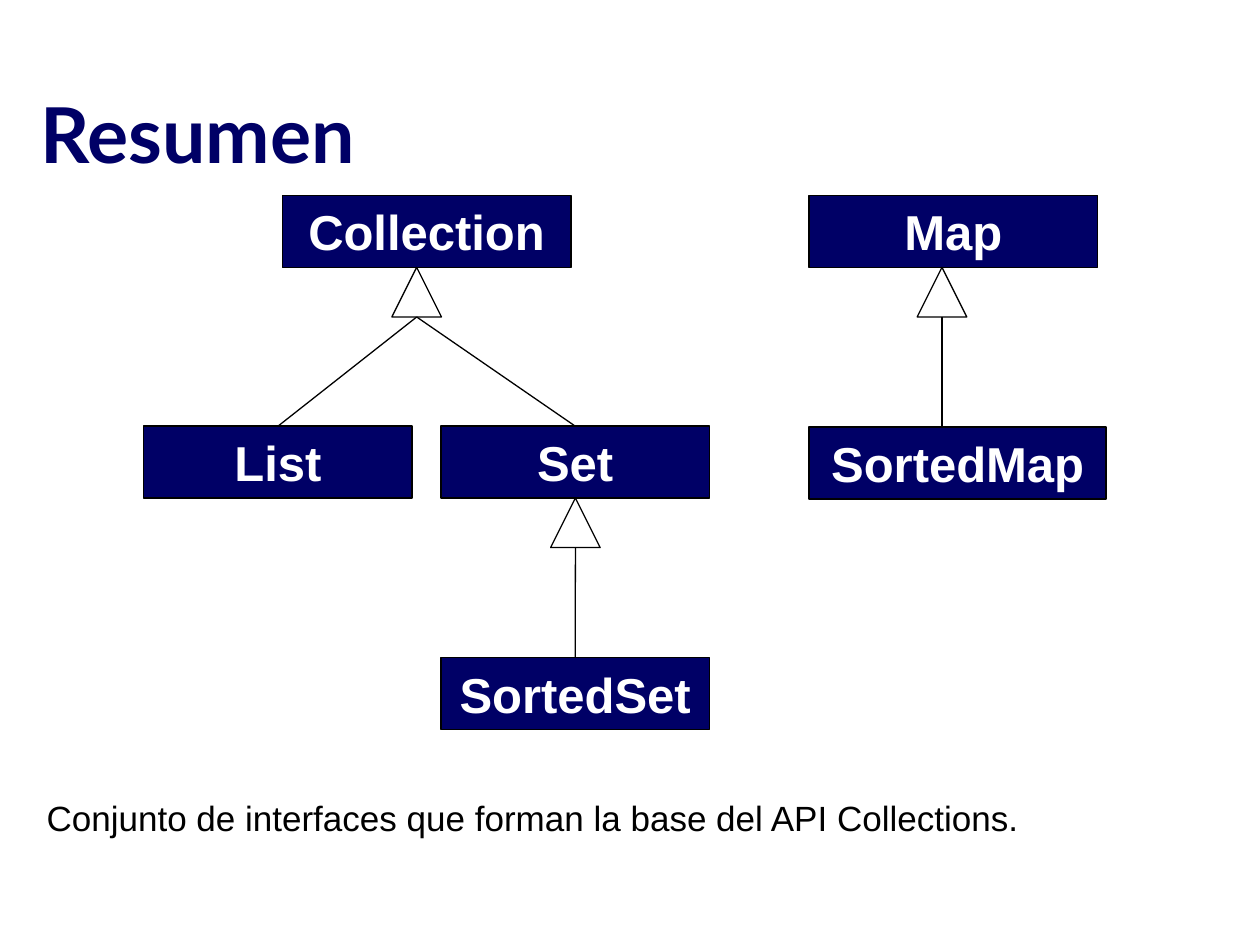
from dataclasses import dataclass

import pptx
import pptx.dml.color
import pptx.enum.shapes
import pptx.enum.text
import pptx.oxml.ns
import pptx.util
from lxml import etree

Cm, Pt = pptx.util.Cm, pptx.util.Pt
RGB = pptx.dml.color.RGBColor
ALIGN = pptx.enum.text.PP_ALIGN
ANCHOR = pptx.enum.text.MSO_ANCHOR
SHAPE = pptx.enum.shapes.MSO_SHAPE


@dataclass(frozen=True)
class Theme:
    navy: RGB = RGB(0x00, 0x00, 0x66)
    black: RGB = RGB(0x00, 0x00, 0x00)
    white: RGB = RGB(0xFF, 0xFF, 0xFF)
    title_font: str = "Lato"
    body_font: str = "Arial"
    title_size: int = 44
    box_size: int = 28
    caption_size: int = 20
    line_width: float = 0.75


THEME = Theme()
BOX_HEIGHT = 1.45
ARROW_SIZE = 1.0

# Interface name: left, top, width in cm
INTERFACES = {
    "Collection": (5.69, 3.94, 5.82),
    "Map": (16.31, 3.94, 5.82),
    "List": (2.9, 8.59, 5.41),
    "Set": (8.89, 8.59, 5.41),
    "SortedSet": (8.89, 13.26, 5.41),
    "SortedMap": (16.31, 8.61, 5.99),
}

# Parent, centre of its arrowhead in cm, children
INHERITANCE = [
    ("Collection", 8.4, ["List", "Set"]),
    ("Map", 18.99, ["SortedMap"]),
    ("Set", 11.6, ["SortedSet"]),
]


def place(sp, left, top, width, height):
    sp.left, sp.top, sp.width, sp.height = map(Cm, (left, top, width, height))


def set_text(sp, text, font, size, color, align, anchor, bold=False, inset=0.25):
    tf = sp.text_frame
    tf.word_wrap = True
    tf.auto_size = pptx.enum.text.MSO_AUTO_SIZE.NONE
    tf.vertical_anchor = anchor
    tf.margin_left = tf.margin_right = Cm(inset)
    tf.margin_top = tf.margin_bottom = Cm(0.13)
    p = tf.paragraphs[0]
    p.alignment = align
    r = p.add_run()
    r.text = text
    r.font.name, r.font.size, r.font.bold = font, Pt(size), bold
    r.font.color.rgb = color


def set_line(sp):
    sp.line.color.rgb = THEME.black
    sp.line.width = Pt(THEME.line_width)


def add_interface(s, name, left, top, width):
    sp = s.shapes.add_shape(SHAPE.RECTANGLE, Cm(left), Cm(top), Cm(width), Cm(BOX_HEIGHT))
    sp.shadow.inherit = False
    sp.fill.solid()
    sp.fill.fore_color.rgb = THEME.navy
    set_line(sp)
    set_text(sp, name, THEME.body_font, THEME.box_size, THEME.white,
             ALIGN.CENTER, ANCHOR.TOP, bold=True)
    return sp


def add_arrowhead(s, parent, center):
    """Hollow triangle whose tip touches the bottom of the parent box."""
    sp = s.shapes.add_shape(SHAPE.ISOSCELES_TRIANGLE, Cm(center - ARROW_SIZE / 2),
                            parent.top + parent.height, Cm(ARROW_SIZE), Cm(ARROW_SIZE))
    sp.shadow.inherit = False
    sp.fill.background()
    set_line(sp)
    return sp


def add_link(s, arrow, child, straight_down):
    x, y = arrow.left + arrow.width // 2, arrow.top + arrow.height
    cx = s.shapes.add_connector(pptx.enum.shapes.MSO_CONNECTOR.STRAIGHT, x, y, x, child.top)
    if not straight_down:
        cx.end_connect(child, 0)
    set_line(cx)
    etree.SubElement(cx._element.spPr, pptx.oxml.ns.qn("a:effectLst"))


def main():
    prs = pptx.Presentation()
    prs.slide_width, prs.slide_height = Cm(25.4), Cm(19.05)
    s = prs.slides.add_slide(prs.slide_layouts[5])

    # Title
    title = s.shapes.title
    place(title, 0.69, 1.32, 22.83, 2.41)
    set_text(title, "Resumen", THEME.title_font, THEME.title_size, THEME.navy,
             ALIGN.LEFT, ANCHOR.BOTTOM, bold=True, inset=0.13)

    # Interface boxes
    boxes = {name: add_interface(s, name, *at) for name, at in INTERFACES.items()}

    # Inheritance arrows; the Map arrow is off centre and drops vertically
    for parent, center, children in INHERITANCE:
        arrow = add_arrowhead(s, boxes[parent], center)
        for child in children:
            add_link(s, arrow, boxes[child], straight_down=parent == "Map")

    # Caption
    caption = s.shapes.add_textbox(Cm(0.69), Cm(15.93), Cm(23.8), Cm(1.12))
    set_text(caption, "Conjunto de interfaces que forman la base del API Collections.",
             THEME.body_font, THEME.caption_size, THEME.black, ALIGN.JUSTIFY, ANCHOR.TOP)

    prs.save("out.pptx")


if __name__ == "__main__":
    main()
